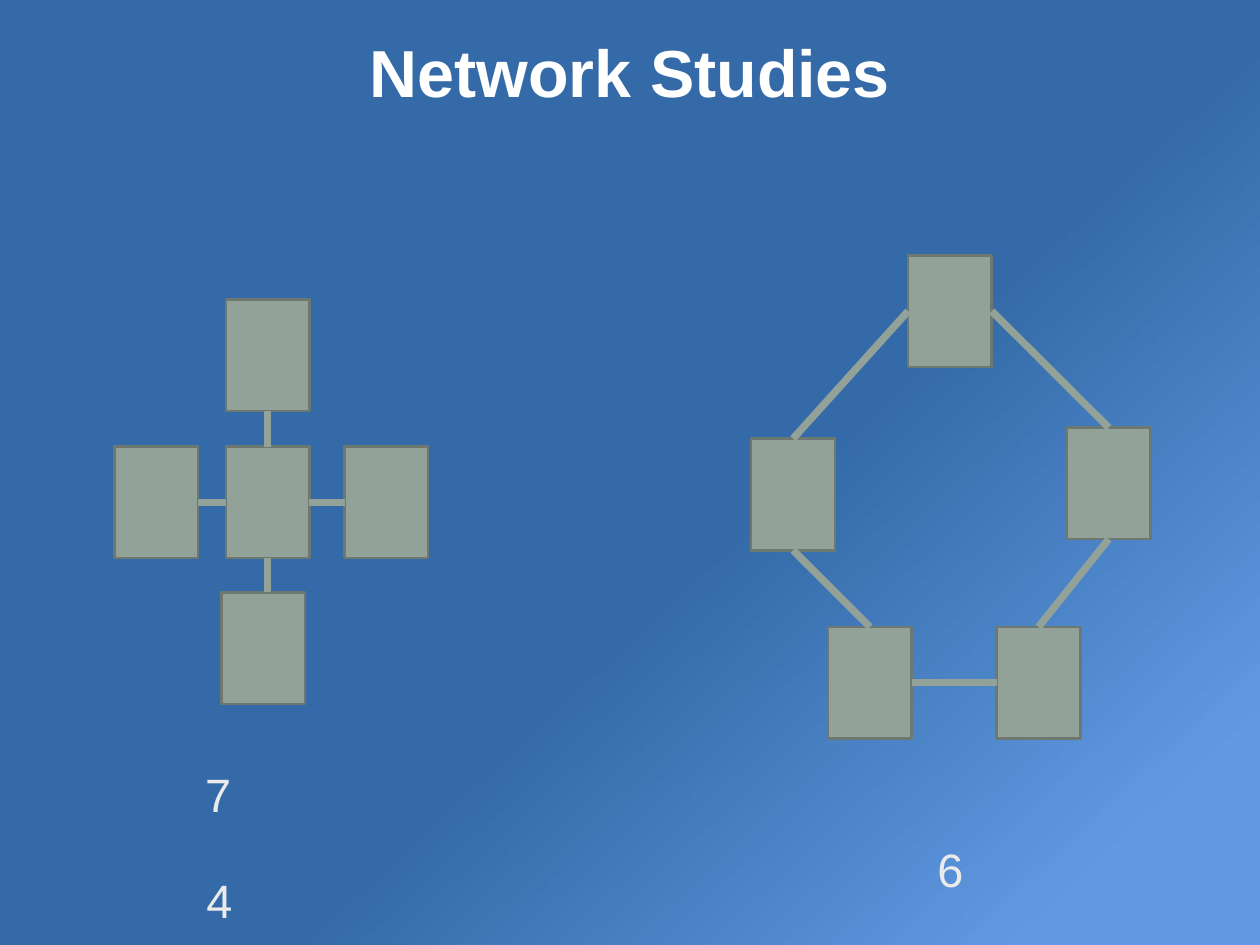
import pptx
import pptx.util
import pptx.dml.color
import pptx.enum.shapes
import pptx.enum.text
import pptx.oxml

Pt = pptx.util.Pt
RGBColor = pptx.dml.color.RGBColor
MID = pptx.enum.text.MSO_ANCHOR.MIDDLE
FIT = pptx.enum.text.MSO_AUTO_SIZE
RECT = pptx.enum.shapes.MSO_SHAPE.RECTANGLE
LINE = pptx.enum.shapes.MSO_CONNECTOR.STRAIGHT

DEEP = RGBColor(0x33, 0x6A, 0xA7)
SKY = RGBColor(0x61, 0x9A, 0xE3)
SAGE = RGBColor(0x93, 0xA2, 0x99)
EDGE = RGBColor(0x6D, 0x78, 0x71)
WHITE = RGBColor(0xFF, 0xFF, 0xFF)
PALE = RGBColor(0xEB, 0xEB, 0xEB)
TOP, LEFT, BOTTOM, RIGHT = range(4)
WIDE, HIGH = 68, 90.7


def write(frame, text, size, color, bold, fit):
    frame.auto_size = fit
    frame.vertical_anchor = MID
    frame.margin_left = frame.margin_right = Pt(4)
    frame.margin_top = frame.margin_bottom = Pt(4)
    para = frame.paragraphs[0]
    para.alignment = pptx.enum.text.PP_ALIGN.CENTER
    run = para.add_run()
    run.text = text
    run.font.name = "Arial"
    run.font.size = Pt(size)
    run.font.bold = bold
    run.font.color.rgb = color


deck = pptx.Presentation()
deck.slide_width, deck.slide_height = Pt(1024), Pt(768)
slide = deck.slides.add_slide(deck.slide_layouts[5])

fill = slide.background.fill
fill.gradient()
fill.gradient_angle = 360 - 47
for stop, place, color in zip(fill.gradient_stops, (0.57, 0.9), (DEEP, SKY)):
    stop.position = place
    stop.color.rgb = color

title = slide.shapes.title
title.left, title.top, title.width, title.height = Pt(60), Pt(10), Pt(904), Pt(96)
write(title.text_frame, "Network Studies", 54, WHITE, True, FIT.NONE)

star = {
    "west": (93, 363),
    "hub": (183.5, 363),
    "north": (183.5, 243.5),
    "south": (180, 481.5),
    "east": (280, 363),
}
spokes = [
    ("north", BOTTOM, "hub", TOP),
    ("hub", BOTTOM, "south", TOP),
    ("west", RIGHT, "hub", LEFT),
    ("hub", RIGHT, "east", LEFT),
]
ring = {
    "left": (610.5, 356.5),
    "peak": (738, 207.5),
    "low left": (673, 509.5),
    "low right": (810, 509.5),
    "right": (867, 347.5),
}
sides = [
    ("left", TOP, "peak", LEFT),
    ("peak", RIGHT, "right", TOP),
    ("right", BOTTOM, "low right", TOP),
    ("low right", LEFT, "low left", RIGHT),
    ("low left", TOP, "left", BOTTOM),
]

for spots, links in ((star, spokes), (ring, sides)):
    nodes = {}
    for name, (x, y) in spots.items():
        node = slide.shapes.add_shape(RECT, Pt(x), Pt(y), Pt(WIDE), Pt(HIGH))
        node.shadow.inherit = False
        node.fill.solid()
        node.fill.fore_color.rgb = SAGE
        node.line.color.rgb = EDGE
        node.line.width = Pt(2.08)
        nodes[name] = node
    for start, port, end, dock in links:
        link = slide.shapes.add_connector(LINE, 0, 0, 0, 0)
        link.begin_connect(nodes[start], port)
        if end == "south":
            link.end_x, link.end_y = link.begin_x, nodes[end].top
        else:
            link.end_connect(nodes[end], dock)
        link.line.color.rgb = SAGE
        link.line.width = Pt(6)
        props = link.element.spPr
        props.append(pptx.oxml.parse_xml(
            '<a:effectLst xmlns:a="http://schemas.openxmlformats.org/drawingml/2006/main"/>'))

for digit, x, y in (("6", 757.5, 679), ("4", 163.5, 704), ("7", 162.5, 618)):
    label = slide.shapes.add_textbox(Pt(x), Pt(y), Pt(29.5), Pt(54))
    label.text_frame.word_wrap = False
    write(label.text_frame, digit, 38, PALE, False, FIT.SHAPE_TO_FIT_TEXT)

deck.save("out.pptx")
